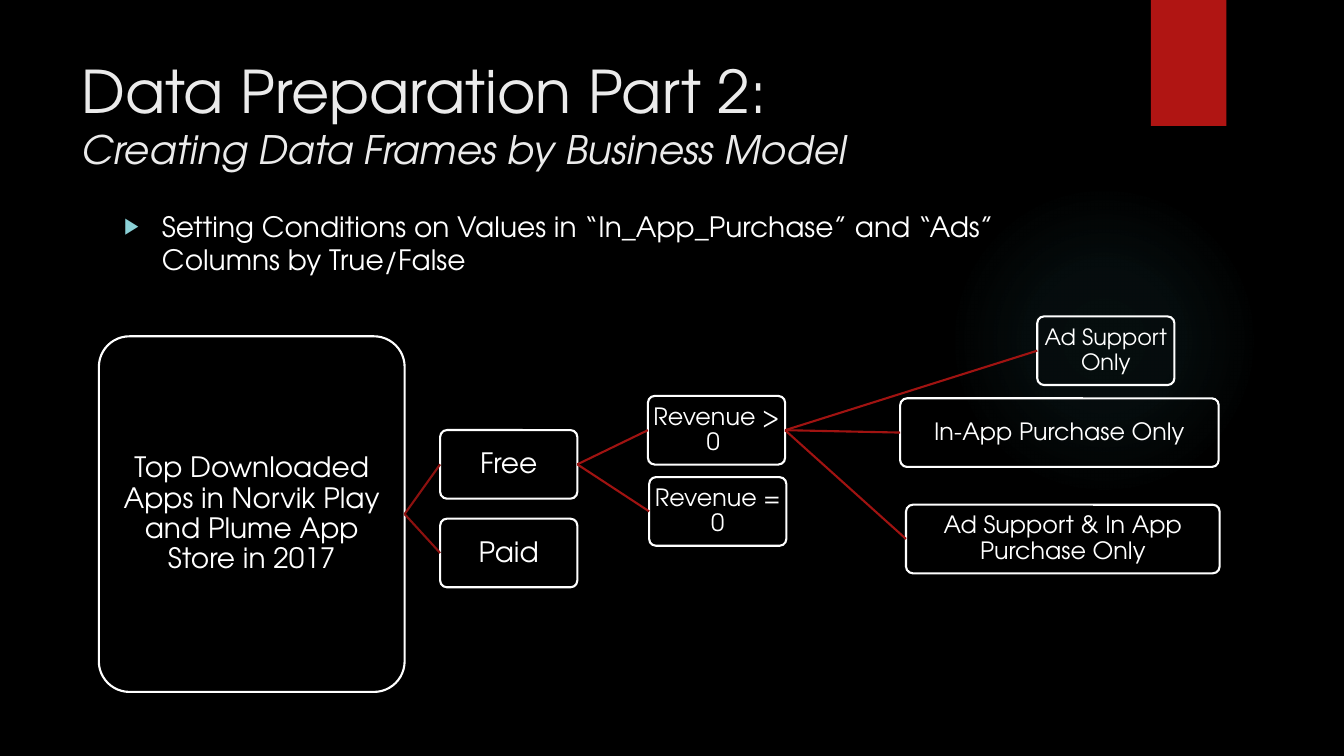
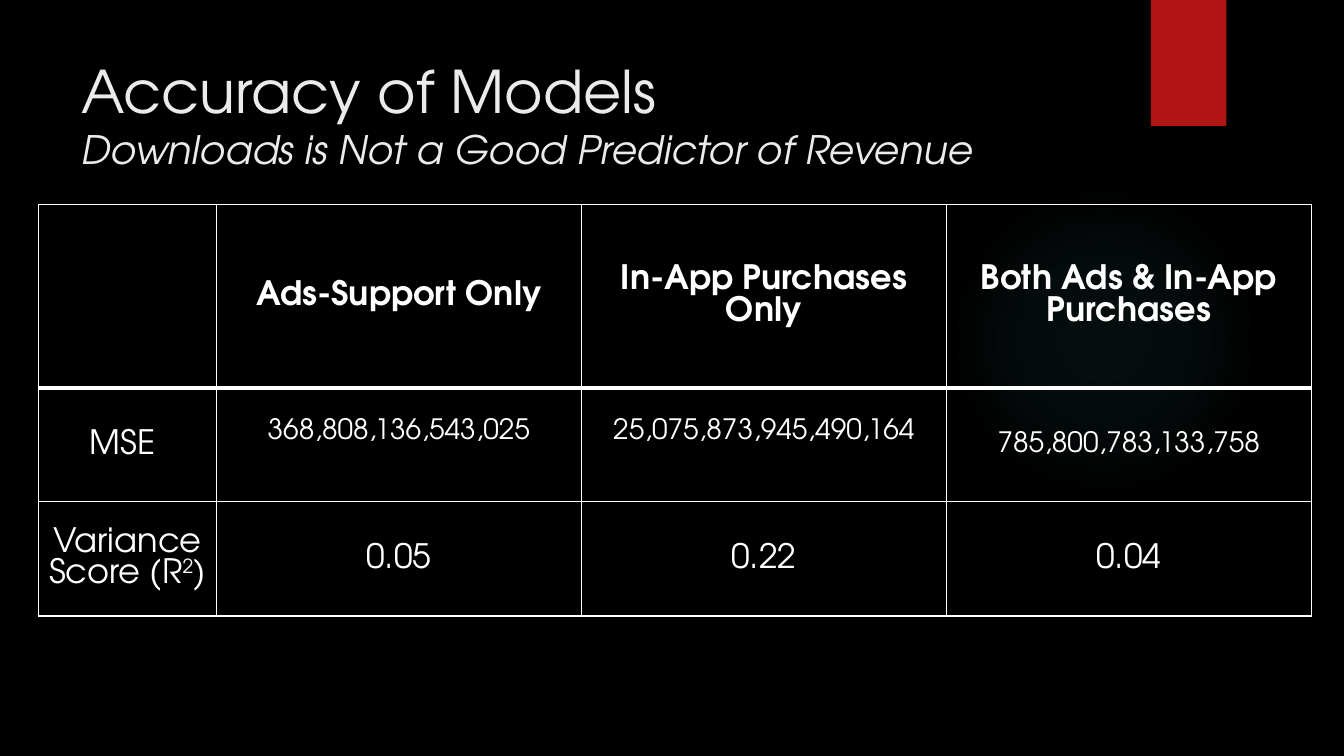
from dataclasses import dataclass

from lxml.etree import SubElement
from pptx import Presentation
from pptx.dml.color import RGBColor
from pptx.enum.shapes import MSO_CONNECTOR, MSO_SHAPE
from pptx.enum.text import MSO_ANCHOR, MSO_AUTO_SIZE, PP_ALIGN
from pptx.oxml import parse_xml
from pptx.oxml.ns import nsdecls, qn
from pptx.util import Pt


@dataclass(frozen=True)
class Theme:
    font: str = "TeX Gyre Adventor"
    background: str = "000000"
    title: str = "EBEBEB"
    text: str = "FFFFFF"
    accent: str = "B01513"
    glow: str = "50B9C1"
    bullet: str = "8AD0D6"
    branch: str = "8D110F"
    twig: str = "A01311"
    title_size: int = 42
    subtitle_size: int = 28
    body_size: int = 20
    small_size: int = 17
    tiny_size: int = 16
    table_size: int = 24
    rule: float = 1.5


T = Theme()

TREE_TITLE = ("Data Preparation Part 2:", "Creating Data Frames by Business Model")
TREE_BODY = "Setting Conditions on Values in “In_App_Purchase” and “Ads” Columns by True/False"
NODE_W, NODE_H = 98, 49
NODES = {
    "root": ("Top Downloaded Apps in Norvik Play and Plume App Store in 2017",
             70.6, 240.2, 218.4, 254, T.body_size),
    "free": ("Free", 314.4, 307.2, NODE_W, NODE_H, T.body_size),
    "paid": ("Paid", 314.4, 370.5, NODE_W, NODE_H, T.body_size),
    "revenue": ("Revenue > 0 ", 462.8, 282.8, NODE_W, NODE_H, T.small_size),
    "no revenue": ("Revenue = 0", 463.7, 340.8, NODE_W, NODE_H, T.small_size),
    "ads": ("Ad Support Only", 740.9, 226, NODE_W, NODE_H, T.tiny_size),
    "purchase": ("In-App Purchase Only", 643, 284.5, 227.5, NODE_H, T.small_size),
    "both": ("Ad Support & In App Purchase Only", 647.2, 360.5, 224, NODE_H, T.small_size),
}
LINKS = {
    "root": ("free", "paid"),
    "free": ("revenue", "no revenue"),
    "revenue": ("ads", "purchase", "both"),
}

SCORE_TITLE = ("Accuracy of Models", "Downloads is Not a Good Predictor of Revenue")
SCORES = [
    ["", "Ads-Support Only", "In-App Purchases Only", "Both Ads & In-App Purchases"],
    ["MSE ", "368,808,136,543,025", "25,075,873,945,490,164", "785,800,783,133,758"],
    ["Variance Score (R^2^)", "0.05", "0.22", "0.04"],
]
COL_WIDTHS = [127.2, 260.7, 260.7, 260.7]
ROW_HEIGHTS = [131, 81.5, 81.5]
RAISED_CELLS = {(1, 1), (1, 2)}
RAISE = 19


def rgb(value):
    return RGBColor.from_string(value)


def add_run(p, text, size, color=T.text, bold=False, italic=False):
    r = p.add_run()
    r.text = text
    f = r.font
    f.name, f.size, f.bold, f.italic = T.font, Pt(size), bold, italic
    f.color.rgb = rgb(color)
    return r


def place(sp, x, y, w, h):
    sp.left, sp.top, sp.width, sp.height = Pt(x), Pt(y), Pt(w), Pt(h)
    tf = sp.text_frame
    tf.word_wrap = True
    tf.auto_size = MSO_AUTO_SIZE.NONE
    tf.vertical_anchor = MSO_ANCHOR.TOP
    return tf


def decorate_master(prs, s):
    master = prs.slide_master
    master.background.fill.solid()
    master.background.fill.fore_color.rgb = rgb(T.background)

    glow = s.shapes.add_shape(MSO_SHAPE.OVAL, Pt(677.5), Pt(131.8), Pt(222), Pt(222))
    stops = "".join(
        f'<a:gs pos="{pos}000"><a:srgbClr val="{T.glow}"><a:alpha val="{alpha}000"/></a:srgbClr></a:gs>'
        for pos, alpha in ((0, 7), (36, 6), (69, 0)))
    gradient = parse_xml(
        f'<a:gradFill {nsdecls("a")} rotWithShape="1"><a:gsLst>{stops}</a:gsLst>'
        '<a:path path="circle"><a:fillToRect l="50000" t="50000" r="50000" b="50000"/></a:path>'
        '</a:gradFill>')
    glow.element.spPr.find(qn("a:prstGeom")).addnext(gradient)

    tab = s.shapes.add_shape(MSO_SHAPE.RECTANGLE, Pt(822), Pt(0), Pt(54), Pt(90))
    tab.fill.solid()
    tab.fill.fore_color.rgb = rgb(T.accent)

    for index, sp in enumerate((glow, tab), 2):
        sp.line.fill.background()
        sp.shadow.inherit = False
        master.shapes.element.insert(index, sp.element)


def set_title(s, lines):
    tf = place(s.shapes.title, 51, 35.5, 741, 110)
    styles = ((T.title_size, False), (T.subtitle_size, True))
    for i, (text, (size, italic)) in enumerate(zip(lines, styles)):
        p = tf.add_paragraph() if i else tf.paragraphs[0]
        p.alignment = PP_ALIGN.LEFT
        add_run(p, text, size, T.title, italic=italic)


def set_body(s, text):
    p = place(s.placeholders[1], 81.5, 145.8, 704, 325).paragraphs[0]
    p.space_before = Pt(10)
    pPr = p._p.get_or_add_pPr()
    pPr.set("marL", str(Pt(27)))
    pPr.set("indent", str(-Pt(27)))
    SubElement(SubElement(pPr, qn("a:buClr")), qn("a:srgbClr")).set("val", T.bullet)
    SubElement(pPr, qn("a:buSzPct")).set("val", "80000")
    SubElement(pPr, qn("a:buChar")).set("char", "▶")
    add_run(p, text, T.body_size)


def add_node(s, text, x, y, w, h, size):
    sp = s.shapes.add_shape(MSO_SHAPE.ROUNDED_RECTANGLE, Pt(x), Pt(y), Pt(w), Pt(h))
    sp.adjustments[0] = 0.1
    sp.shadow.inherit = False
    sp.fill.background()
    sp.line.color.rgb = rgb(T.text)
    sp.line.width = Pt(T.rule)
    tf = place(sp, x, y, w, h)
    tf.vertical_anchor = MSO_ANCHOR.MIDDLE
    tf.margin_left = tf.margin_top = tf.margin_right = tf.margin_bottom = Pt(1)
    p = tf.paragraphs[0]
    p.alignment = PP_ALIGN.CENTER
    p.line_spacing = 0.9
    add_run(p, text, size)
    return sp


def link(s, parent, child, color):
    c = s.shapes.add_connector(MSO_CONNECTOR.STRAIGHT, 0, 0, 0, 0)
    c.begin_connect(parent, 3)
    c.end_connect(child, 1)
    c.line.color.rgb = rgb(color)
    c.line.width = Pt(T.rule)
    SubElement(c.element.spPr, qn("a:effectLst"))


def add_tree(s):
    nodes = {name: add_node(s, *node) for name, node in NODES.items()}
    for parent, children in LINKS.items():
        for child in children:
            link(s, nodes[parent], nodes[child], T.branch if parent == "root" else T.twig)


def set_borders(cell, widths):
    tcPr = cell._tc.get_or_add_tcPr()
    for side, width in zip("LRTB", widths):
        ln = SubElement(tcPr, qn(f"a:ln{side}"), w=str(Pt(width)))
        SubElement(SubElement(ln, qn("a:solidFill")), qn("a:srgbClr")).set("val", T.text)


def fill_cell(cell, text, row, col):
    set_borders(cell, (1, 1, 3 if row == 1 else 1, 3 if row == 0 else 1))
    cell.fill.background()
    cell.vertical_anchor = MSO_ANCHOR.MIDDLE
    if (row, col) in RAISED_CELLS:
        cell.margin_bottom += Pt(RAISE)
    p = cell.text_frame.paragraphs[0]
    p.alignment = PP_ALIGN.CENTER
    size = T.body_size if row == 1 and col else T.table_size
    for i, part in enumerate(text.split("^")):
        if part:
            r = add_run(p, part, size, bold=row == 0)
            if i % 2:
                r._r.get_or_add_rPr().set("baseline", "30000")


def add_scores(s):
    frame = s.shapes.add_table(len(SCORES), len(COL_WIDTHS), Pt(27.4), Pt(146),
                               Pt(sum(COL_WIDTHS)), Pt(sum(ROW_HEIGHTS)))
    table = frame.table
    table.first_row = table.horz_banding = False
    for column, width in zip(table.columns, COL_WIDTHS):
        column.width = Pt(width)
    for i, (row, height) in enumerate(zip(SCORES, ROW_HEIGHTS)):
        table.rows[i].height = Pt(height)
        for j, text in enumerate(row):
            fill_cell(table.cell(i, j), text, i, j)


def main():
    prs = Presentation()
    prs.slide_width, prs.slide_height = Pt(960), Pt(540)

    s = prs.slides.add_slide(prs.slide_layouts[1])
    decorate_master(prs, s)
    set_title(s, TREE_TITLE)
    set_body(s, TREE_BODY)
    add_tree(s)

    s = prs.slides.add_slide(prs.slide_layouts[5])
    set_title(s, SCORE_TITLE)
    add_scores(s)

    prs.save("out.pptx")


if __name__ == "__main__":
    main()
